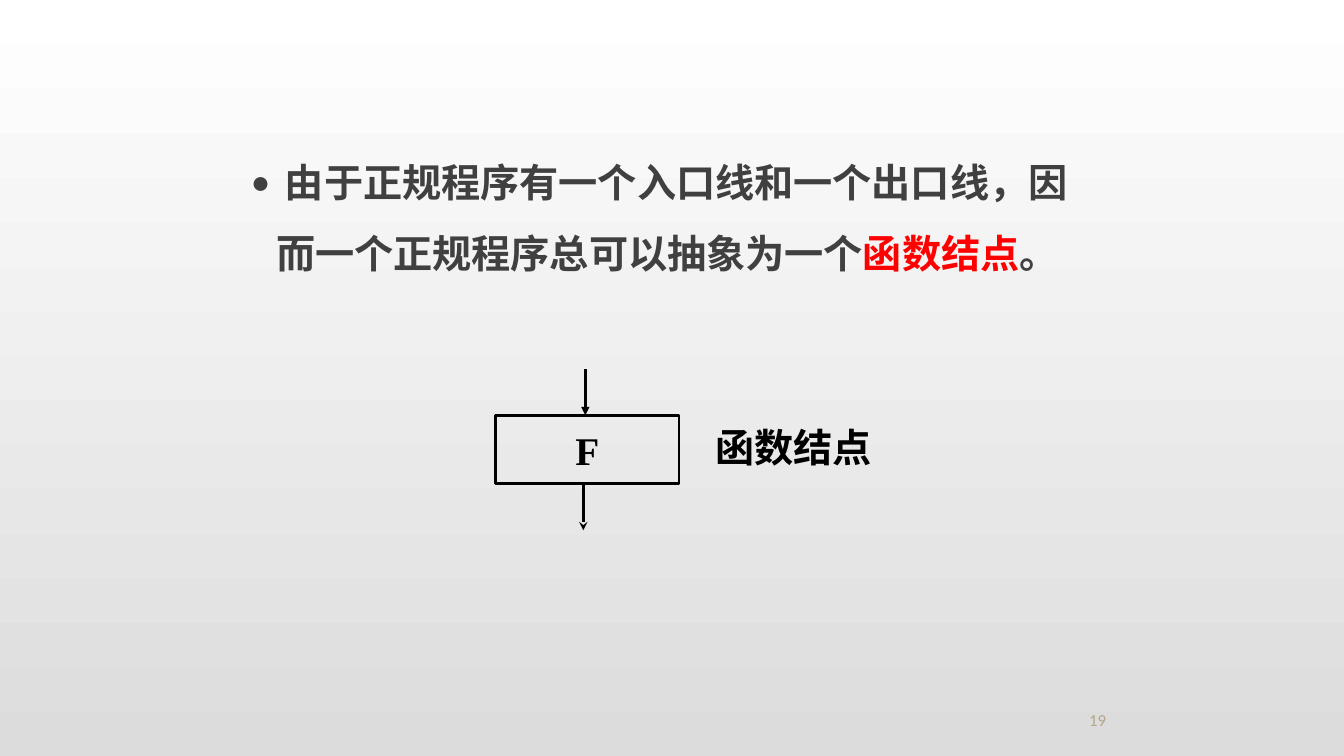
from lxml.etree import SubElement
from pptx import Presentation
from pptx.dml.color import RGBColor
from pptx.enum.shapes import MSO_CONNECTOR, MSO_SHAPE
from pptx.enum.text import MSO_ANCHOR as ANCHOR, MSO_AUTO_SIZE, PP_ALIGN as ALIGN
from pptx.oxml.ns import qn
from pptx.util import Inches, Pt

COLORS = {"white": "FFFFFF", "silver": "DCDCDC", "body": "404040",
          "key": "FF0000", "ink": "000000", "number": "B5A788"}
CJK = "Noto Sans CJK SC"
SERIF = "Times New Roman"


def rgb(name):
    return RGBColor.from_string(COLORS[name])


def write(shape, runs, size=28, font=SERIF, bold=True, align=ALIGN.CENTER,
          anchor=ANCHOR.MIDDLE, insets=(0, 0)):
    """Fill the shape with one paragraph of (text, colour) runs and return it."""
    frame = shape.text_frame
    frame.word_wrap = True
    frame.auto_size = MSO_AUTO_SIZE.NONE
    frame.vertical_anchor = anchor
    frame.margin_left = frame.margin_right = Inches(insets[0])
    frame.margin_top = frame.margin_bottom = Inches(insets[1])
    paragraph = frame.paragraphs[0]
    paragraph.alignment = align
    for text, color in runs:
        run = paragraph.add_run()
        run.text = text
        run.font.size = Pt(size)
        run.font.bold = bold
        run.font.name = font
        run.font.color.rgb = rgb(color)
        SubElement(run.font._element, qn("a:ea"), typeface=CJK)
    return paragraph


def paint_background(slide):
    fill = slide.background.fill
    fill.gradient()
    fill.gradient_angle = 270
    for stop, color, position in zip(fill.gradient_stops, ("white", "silver"), (0, 1)):
        stop.color.rgb = rgb(color)
        stop.position = position


def add_statement(slide, left, top, width, height):
    body = slide.placeholders[1]
    body.left, body.top = Inches(left), Inches(top)
    body.width, body.height = Inches(width), Inches(height)
    statement = write(
        body,
        [(" 由于正规程序有一个入口线和一个出口线，因而一个正规程序总可以抽象为一个", "body"),
         ("函数结点", "key"), ("。", "body")],
        font=CJK, align=ALIGN.LEFT, anchor=ANCHOR.TOP, insets=(0, 0.05))
    statement.line_spacing = 1.5
    statement.space_before = Pt(0)
    statement.space_after = Pt(10)
    properties = statement._p.get_or_add_pPr()
    properties.set("marL", str(Inches(0.25)))
    properties.set("indent", str(-Inches(0.25)))
    bullet_color = SubElement(properties, qn("a:buClr"))
    SubElement(bullet_color, qn("a:srgbClr"), val=COLORS["body"])
    SubElement(properties, qn("a:buFont"), typeface="Calibri")
    SubElement(properties, qn("a:buChar"), char="•")


def add_arrow(slide, x, top, length, head):
    arrow = slide.shapes.add_connector(
        MSO_CONNECTOR.STRAIGHT, Inches(x), Inches(top), Inches(x), Inches(top + length))
    arrow.line.color.rgb = rgb("ink")
    arrow.line.width = Pt(2)
    SubElement(arrow.line._get_or_add_ln(), qn("a:tailEnd"), type=head)
    SubElement(arrow._element.spPr, qn("a:effectLst"))


def add_function_node(slide, left, top, width, height):
    node = slide.shapes.add_shape(
        MSO_SHAPE.RECTANGLE, Inches(left), Inches(top), Inches(width), Inches(height))
    node.shadow.inherit = False
    node.fill.background()
    node.line.color.rgb = rgb("ink")
    node.line.width = Pt(2)
    write(node, [("F", "ink")], insets=(0.1, 0.05))

    flow = 0.46
    add_arrow(slide, left + 0.89, top - flow, flow, "triangle")
    add_arrow(slide, left + 0.87, top + height, flow, "stealth")

    caption = slide.shapes.add_textbox(
        Inches(left + 1.5), Inches(top + 0.09), Inches(2.91), Inches(0.45))
    write(caption, [("函数结点", "ink")])


def add_page_number(slide, left, top, width, height):
    number = slide.shapes.add_textbox(
        Inches(left), Inches(top), Inches(width), Inches(height))
    write(number, [("19", "number")], size=12, font="Calibri", bold=False,
          anchor=ANCHOR.BOTTOM, insets=(0.1, 0.05))


def main():
    deck = Presentation()
    deck.slide_width, deck.slide_height = Inches(13.34), Inches(7.5)
    slide = deck.slides.add_slide(deck.slide_layouts[1])
    title = slide.shapes.title._element
    title.getparent().remove(title)
    paint_background(slide)
    add_statement(slide, 2.49, 1.29, 8.32, 1.67)
    add_function_node(slide, 4.92, 4.12, 1.82, 0.68)
    add_page_number(slide, 9.42, 6.94, 2.95, 0.35)
    deck.save("out.pptx")


if __name__ == "__main__":
    main()
